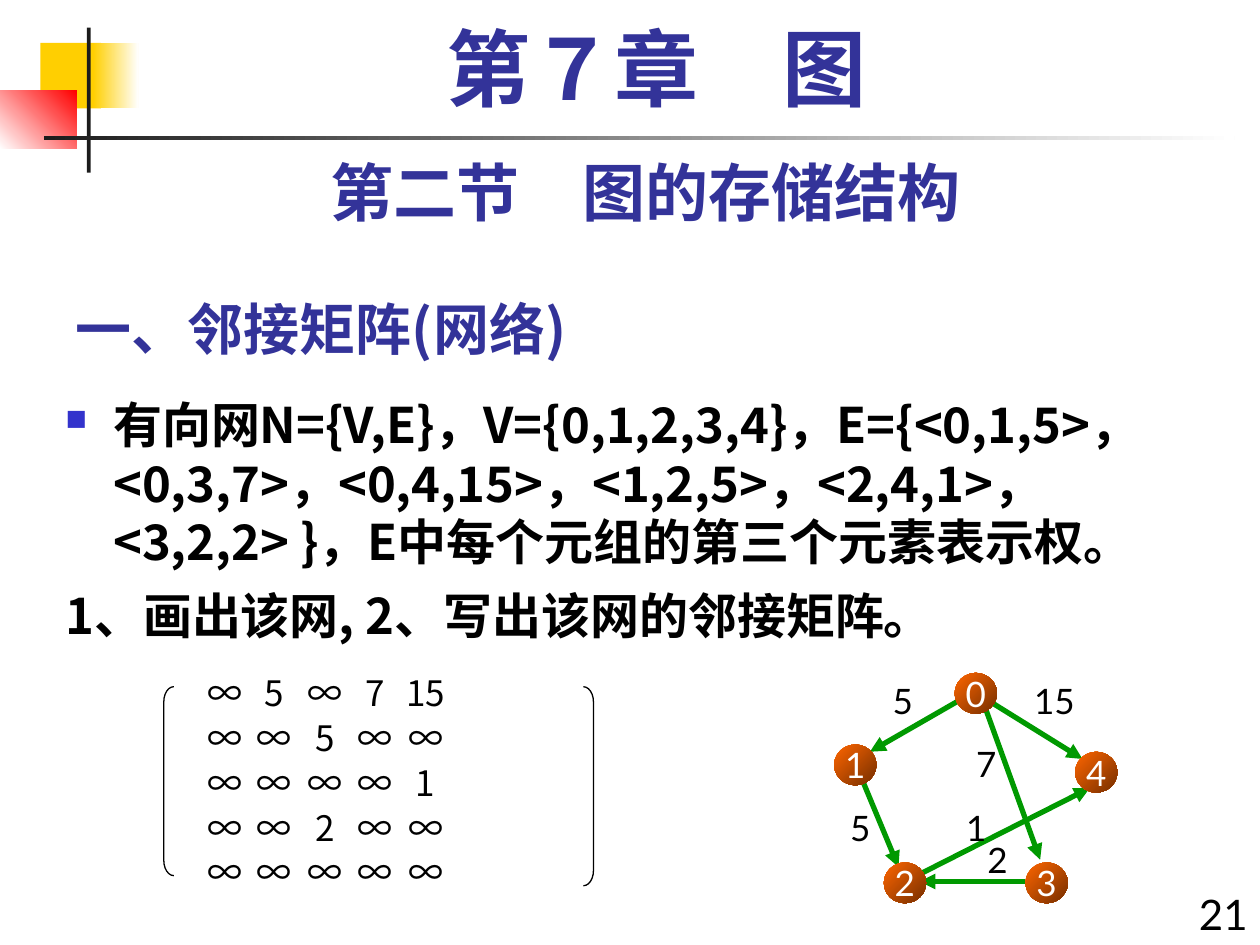
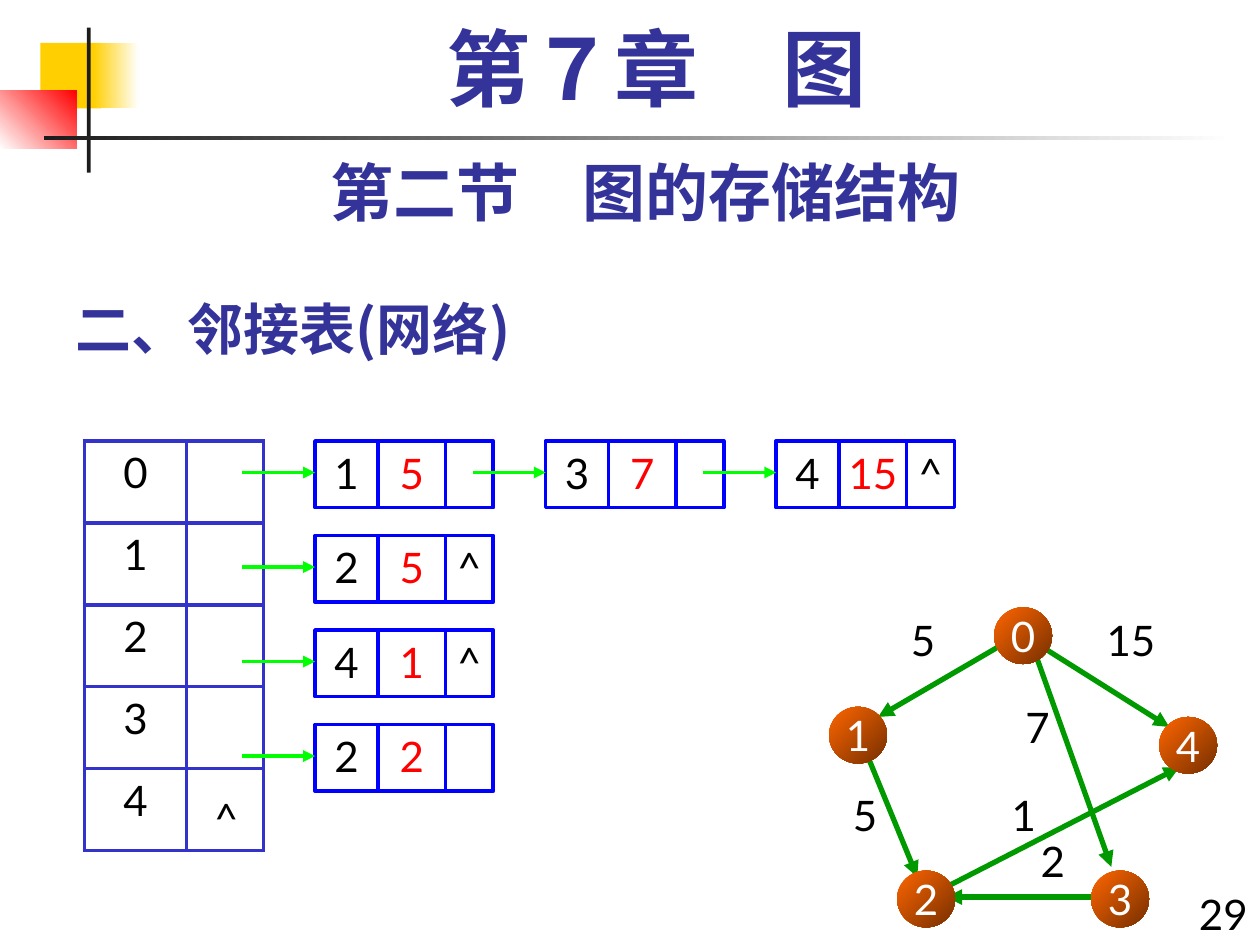
from lxml.etree import SubElement
from pptx import Presentation
from pptx.dml.color import RGBColor
from pptx.enum.shapes import MSO_CONNECTOR, MSO_SHAPE as Shape
from pptx.enum.text import MSO_ANCHOR as Anchor, PP_ALIGN as Align
from pptx.oxml.ns import qn
from pptx.util import Inches, Pt

# Shared colours and fonts
WHITE = RGBColor(0xFF, 0xFF, 0xFF)
BLACK = RGBColor(0x00, 0x00, 0x00)
INK = RGBColor(0x1C, 0x1C, 0x1C)
HEADING = RGBColor(0x33, 0x33, 0x99)
YELLOW = RGBColor(0xFF, 0xCF, 0x01)
RED = RGBColor(0xFF, 0x00, 0x00)
VERTEX_LIGHT = RGBColor(0xFF, 0x66, 0x00)
VERTEX_DARK = RGBColor(0x76, 0x2F, 0x00)
EDGE = RGBColor(0x00, 0x99, 0x00)
POINTER = RGBColor(0x00, 0xFF, 0x00)
LIST_BORDER = RGBColor(0x00, 0x00, 0xFF)
TABLE_BORDER = RGBColor(0x33, 0x33, 0xCC)
LATO, CJK, TIMES = "Lato", "Noto Sans CJK SC", "Times New Roman"

# Directed network, relative to its top left corner
VERTICES = {"1": (0, 0.79), "3": (2.08, 2.09), "2": (0.54, 2.09),
            "4": (2.62, 0.87), "0": (1.31, 0)}
EDGES = [  # tail, head
    ((1.7, 0.32), (2.7, 0.95)),
    ((0.31, 1.19), (0.7, 2.14)),
    ((1.47, 0.24), (0.39, 0.87)),
    ((1.62, 0.32), (2.24, 2.06)),
    ((2.08, 2.3), (0.93, 2.3)),
    ((0.93, 2.22), (2.78, 1.27)),
]
WEIGHTS = [("5", 0.46, 0.01), ("5", 0, 1.4), ("15", 1.94, 0.01),
           ("1", 1.26, 1.4), ("7", 1.37, 0.7), ("2", 1.49, 1.76)]

MATRIX = ["∞ 5 ∞ 7 15", "∞ ∞ 5 ∞ ∞", "∞ ∞ ∞ ∞ 1", "∞ ∞ 2 ∞ ∞", "∞ ∞ ∞ ∞ ∞"]
ADJACENCY_LISTS = [
    [("1", "5", ""), ("3", "7", ""), ("4", "15", "^")],
    [("2", "5", "^")],
    [("4", "1", "^")],
    [("2", "2", "")],
]


def set_all(target, **values):
    for name, value in values.items():
        setattr(target, name, value)


def write(paragraph, text, size, color=BLACK, font=LATO, bold=False, **layout):
    """Fill a paragraph with one formatted run."""
    set_all(paragraph, **layout)
    run = paragraph.add_run()
    run.text = text
    set_all(run.font, size=Pt(size), name=font, bold=bold)
    run.font.color.rgb = color
    SubElement(run.font._element, qn("a:ea"), typeface=CJK)


def hang(paragraph, bullet=None):
    properties = paragraph._p.get_or_add_pPr()
    properties.set("marL", str(Inches(0.38)))
    properties.set("indent", str(-Inches(0.38)))
    if bullet:
        color = SubElement(properties, qn("a:buClr"))
        SubElement(color, qn("a:srgbClr"), val=str(TABLE_BORDER))
        SubElement(properties, qn("a:buSzPct"), val="60000")
        SubElement(properties, qn("a:buChar"), char=bullet)


def add_frame(slide, left, top, width, height, **frame_values):
    box = slide.shapes.add_textbox(*map(Inches, (left, top, width, height)))
    set_all(box.text_frame, **{"word_wrap": True, **frame_values})
    return box.text_frame


def add_label(slide, box, text, size, **style):
    frame = add_frame(slide, *box)
    write(frame.paragraphs[0], text, size, **{"alignment": Align.CENTER, **style})
    return frame


def add_block(slide, box, kind=Shape.RECTANGLE, fill=None, line=None, width=0.75):
    """Draw a preset shape; fill is a colour or (start, end, clockwise angle)."""
    shape = slide.shapes.add_shape(kind, *map(Inches, box))
    shape.shadow.inherit = False
    if fill is None:
        shape.fill.background()
    elif isinstance(fill, RGBColor):
        shape.fill.solid()
        shape.fill.fore_color.rgb = fill
    else:
        *colors, angle = fill
        shape.fill.gradient()
        shape.fill.gradient_angle = (360 - angle) % 360
        for stop, color, position in zip(shape.fill.gradient_stops, colors, (0, 1)):
            stop.color.rgb = color
            stop.position = position
    if line is None:
        shape.line.fill.background()
    else:
        shape.line.color.rgb = line
        shape.line.width = Pt(width)
    return shape


def write_in_block(shape, text, size, color, anchor, wrap):
    set_all(shape.text_frame, margin_left=0, margin_right=0,
            vertical_anchor=anchor, word_wrap=wrap)
    write(shape.text_frame.paragraphs[0], text, size, color, alignment=Align.CENTER)


def add_arrow(slide, start, end, color, width):
    connector = slide.shapes.add_connector(
        MSO_CONNECTOR.STRAIGHT, *map(Inches, (*start, *end)))
    connector.line.color.rgb = color
    connector.line.width = Pt(width)
    SubElement(connector.line._get_or_add_ln(), qn("a:tailEnd"), type="triangle")
    SubElement(connector._element.spPr, qn("a:effectLst"))


def add_base_slide(presentation, title, number):
    """Add a slide with the shared decoration, headings and page number."""
    slide = presentation.slides.add_slide(presentation.slide_layouts[6])
    for box, fill in [
        ((0.32, 0.34, 0.48, 0.52), YELLOW),
        ((0.74, 0.34, 0.36, 0.52), (YELLOW, WHITE, 0)),
        ((0, 0.72, 0.61, 0.46), (WHITE, RED, 315)),
        ((0.69, 0.22, 0.03, 1.15), INK),
        ((0.35, 1.08, 9.45, 0.03), (INK, WHITE, 0)),
    ]:
        add_block(slide, box, fill=fill)
    heading = {"color": HEADING, "bold": True}
    frame = add_label(slide, (0.5, 2.17, 7.25, 0.75), title, 32, font=CJK,
                      alignment=Align.LEFT, **heading)
    frame.vertical_anchor = Anchor.BOTTOM
    add_label(slide, (9.33, 7, 0.67, 0.5), number, 24, alignment=Align.RIGHT)
    add_label(slide, (0.5, 1.17, 9.25, 0.7), "第二节\u3000图的存储结构", 36, **heading)
    frame = add_label(slide, (0.67, 0.17, 9.08, 0.83), "第７章\u3000图", 48,
                      font=TIMES, line_spacing=0.9, **heading)
    hang(frame.paragraphs[0])
    return slide


def add_network(slide, left, top, scale_x, scale_y, size):
    """Draw edges, vertices and weights, scaled from the top left corner."""
    def place(x, y):
        return left + x * scale_x, top + y * scale_y

    for tail, head in EDGES:
        add_arrow(slide, place(*tail), place(*head), EDGE, 3)
    for name, corner in VERTICES.items():
        box = (*place(*corner), 0.46 * scale_x, 0.45 * scale_y)
        vertex = add_block(slide, box, Shape.OVAL, (VERTEX_LIGHT, VERTEX_DARK, 45))
        write_in_block(vertex, name, size, WHITE, Anchor.MIDDLE, False)
    for weight, x, y in WEIGHTS:
        width = (0.57 if len(weight) == 1 else 0.91) * scale_x
        add_label(slide, (*place(x, y), width, 0.1 + size / 60), weight, size)


def add_statement(slide):
    frame = add_frame(slide, 0.42, 3.08, 9.58, 2.2)
    paragraph = frame.paragraphs[0]
    hang(paragraph, "■")
    write(paragraph, "有向网N={V,E}，V={0,1,2,3,4}，E={<0,1,5>，<0,3,7>，<0,4,15>，"
          "<1,2,5>，<2,4,1>，<3,2,2> }，E中每个元组的第三个元素表示权。",
          28, font=CJK, bold=True)
    paragraph = frame.add_paragraph()
    hang(paragraph)
    write(paragraph, "1、画出该网, 2、写出该网的邻接矩阵。", 28, font=CJK,
          bold=True, space_before=Pt(8.5))


def add_matrix(slide):
    for kind, left, height in [(Shape.LEFT_BRACKET, 1.3, 1.5),
                               (Shape.RIGHT_BRACKET, 4.63, 1.58)]:
        bracket = add_block(slide, (left, 5.45, 0.08, height), kind, line=BLACK)
        bracket.adjustments[0] = 1.5
    frame = add_frame(slide, 1.55, 5.32, 3, 1.87)
    for index, row in enumerate(MATRIX):
        paragraph = frame.add_paragraph() if index else frame.paragraphs[0]
        stops = SubElement(paragraph._p.get_or_add_pPr(), qn("a:tabLst"))
        for column in range(1, 5):
            SubElement(stops, qn("a:tab"), algn="ctr",
                       pos=str(Inches(0.13 + 0.4 * column)))
        spacing = {"space_before": Pt(4)} if index else {}
        write(paragraph, row.replace(" ", "\t"), 20, font=CJK,
              line_spacing=0.9, **spacing)


def border_cell(cell):
    properties = cell._tc.get_or_add_tcPr()
    for position, side in enumerate(("lnL", "lnR", "lnT", "lnB")):
        line = SubElement(properties, qn("a:" + side), w=str(Pt(2.25)))
        properties.insert(position, line)
        fill = SubElement(line, qn("a:solidFill"))
        SubElement(fill, qn("a:srgbClr"), val=str(TABLE_BORDER))


def add_vertex_table(slide):
    table = slide.shapes.add_table(
        5, 2, *map(Inches, (0.67, 3.5, 1.42, 3.25))).table
    set_all(table, first_row=False, horz_banding=False)
    for column, width in zip(table.columns, (0.81, 0.61)):
        column.width = Inches(width)
    for index, row in enumerate(table.rows):
        row.height = Inches(0.65)
        for cell in row.cells:
            cell.fill.background()
            border_cell(cell)
        write(row.cells[0].text_frame.paragraphs[0], str(index), 24,
              alignment=Align.CENTER)


def add_list_node(slide, left, top, fields):
    """Draw vertex, weight and link cells with the pointer leading to them."""
    x = left
    for text, width, color in zip(fields, (0.5, 0.535, 0.38), (BLACK, RED, BLACK)):
        cell = add_block(slide, (x, top, width, 0.53), line=LIST_BORDER, width=2)
        if text:
            write_in_block(cell, text, 24, color, Anchor.TOP, True)
        x += width
    add_arrow(slide, (left - 0.58, top + 0.25), (left, top + 0.25), POINTER, 2.25)


def main():
    presentation = Presentation()
    set_all(presentation, slide_width=Inches(10), slide_height=Inches(7.5))

    # Adjacency matrix
    slide = add_base_slide(presentation, "一、邻接矩阵(网络)", "21")
    add_statement(slide)
    add_network(slide, 6.62, 5.34, 0.73, 0.72, 20)
    add_matrix(slide)

    # Adjacency list
    slide = add_base_slide(presentation, "二、邻接表(网络)", "29")
    add_vertex_table(slide)
    add_network(slide, 6.58, 4.82, 1, 1, 24)
    for row, nodes in enumerate(ADJACENCY_LISTS):
        for column, fields in enumerate(nodes):
            add_list_node(slide, 2.5 + 1.83 * column, 3.5 + 0.75 * row, fields)
    add_label(slide, (1.57, 6.24, 0.45, 0.51), "^", 24)

    presentation.save("out.pptx")


if __name__ == "__main__":
    main()
